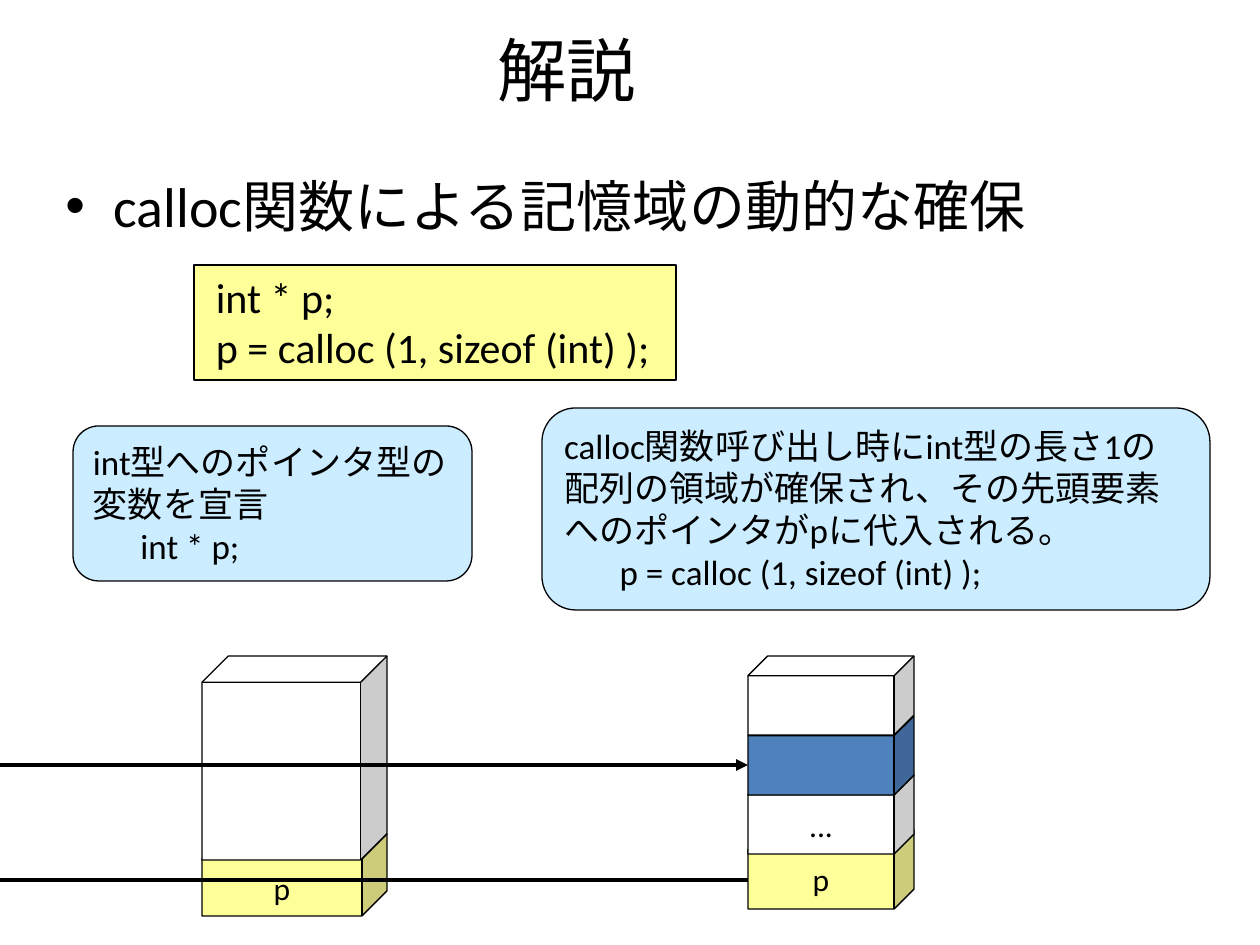
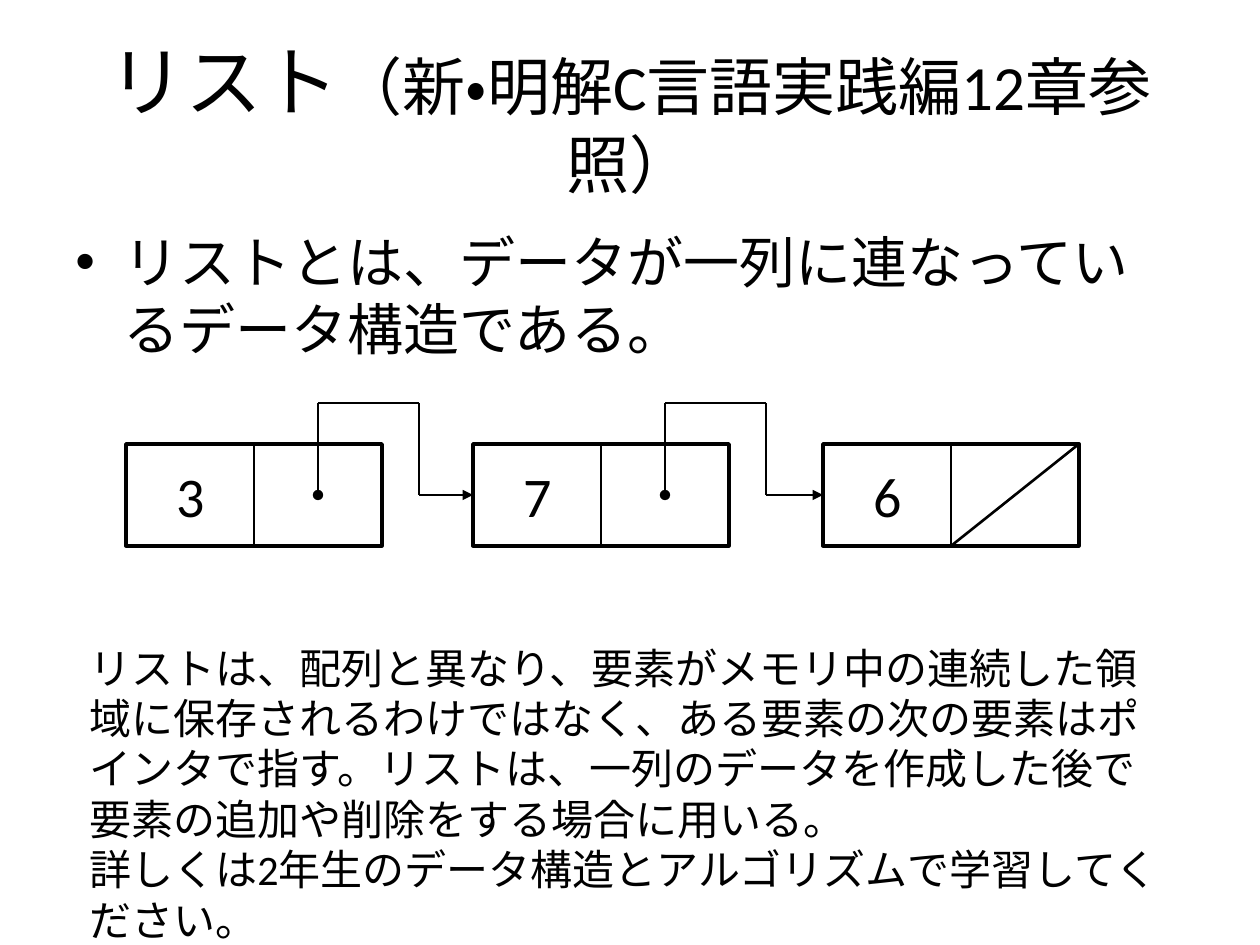
from lxml import etree
from pptx import Presentation
from pptx.dml.color import RGBColor
from pptx.enum.lang import MSO_LANGUAGE_ID
from pptx.enum.shapes import MSO_CONNECTOR, MSO_SHAPE
from pptx.enum.text import MSO_ANCHOR, PP_ALIGN
from pptx.oxml.ns import qn
from pptx.util import Pt

PX = 7257  # EMU per px, 126 px to the inch
FONT = "Calibri"
BLACK = RGBColor(0x00, 0x00, 0x00)
WHITE = RGBColor(0xFF, 0xFF, 0xFF)
YELLOW = RGBColor(0xFF, 0xFF, 0x99)
PALE_BLUE = RGBColor(0xCC, 0xEC, 0xFF)
BLUE = RGBColor(0x4F, 0x81, 0xBD)


def write(shape, paragraphs, size, align=PP_ALIGN.LEFT, anchor=MSO_ANCHOR.TOP, wrap=True):
    """Fill a shape with paragraphs, each a string or a list of (text, size) runs."""
    frame = shape.text_frame
    frame.word_wrap = wrap
    frame.vertical_anchor = anchor
    for i, content in enumerate(paragraphs):
        paragraph = frame.paragraphs[0] if i == 0 else frame.add_paragraph()
        paragraph.alignment = align
        runs = [(content, size)] if isinstance(content, str) else content
        for text, run_size in runs:
            run = paragraph.add_run()
            run.text = text
            style = {"name": FONT, "size": Pt(run_size), "language_id": MSO_LANGUAGE_ID.JAPANESE}
            for key, value in style.items():
                setattr(run.font, key, value)
            run.font.color.rgb = BLACK


def draw_line(slide, x1, y1, x2, y2, width=1.5, **ends):
    """Draw a straight line; ends may give headEnd or tailEnd an arrowhead type."""
    line = slide.shapes.add_connector(MSO_CONNECTOR.STRAIGHT, x1 * PX, y1 * PX, x2 * PX, y2 * PX)
    line.line.color.rgb = BLACK
    line.line.width = Pt(width)
    for end, kind in ends.items():
        etree.SubElement(line.line._ln, qn(f"a:{end}"), type=kind)
    etree.SubElement(line._element.spPr, qn("a:effectLst"))
    return line


prs = Presentation()
prs.slide_width, prs.slide_height = 1260 * PX, 945 * PX

# Titles and leading bullets
headings = [
    ((42, 21, 1050, 95), [("解説", 39.6)],
     (53, 165, 1173, 91), "calloc関数による記憶域の動的な確保"),
    ((63, 38, 1134, 158), [("リスト", 44), ("（新・明解C言語実践編12章参照）", 36)],
     (63, 221, 1134, 158), "リストとは、データが一列に連なっているデータ構造である。"),
]
slides = []
for title_box, title_runs, point_box, point_text in headings:
    slide = prs.slides.add_slide(prs.slide_layouts[6])
    slides.append(slide)
    title = slide.shapes.add_textbox(*(n * PX for n in title_box))
    write(title, [title_runs], 44, PP_ALIGN.CENTER, MSO_ANCHOR.MIDDLE)
    point = slide.shapes.add_textbox(*(n * PX for n in point_box))
    bullet = point.text_frame.paragraphs[0]._p.get_or_add_pPr()
    bullet.set("marL", str(48 * PX))
    bullet.set("indent", str(-48 * PX))
    etree.SubElement(bullet, qn("a:buFont"), typeface="Arial")
    etree.SubElement(bullet, qn("a:buChar"), char="•")
    write(point, [point_text], 32)
calloc_slide, list_slide = slides

# Memory before and after calloc, from the bottom cell up
memory_cells = [
    (202, 834, 185, 82, 0.306, YELLOW, "p"),
    (202, 656, 185, 204, 0.142, WHITE, ""),
    (748, 830, 166, 79, 0.25, YELLOW, "p"),
    (748, 775, 166, 79, 0.25, WHITE, "..."),
    (748, 716, 166, 79, 0.25, BLUE, ""),
    (748, 656, 166, 79, 0.25, WHITE, ""),
]
for x, y, w, h, depth, colour, label in memory_cells:
    cell = calloc_slide.shapes.add_shape(MSO_SHAPE.CUBE, x * PX, y * PX, w * PX, h * PX)
    cell.shadow.inherit = False
    cell.adjustments[0] = depth
    cell.fill.solid()
    cell.fill.fore_color.rgb = colour
    cell.line.color.rgb = BLACK
    cell.line.width = Pt(0.75)
    if label:
        write(cell, [label], 18, PP_ALIGN.CENTER, MSO_ANCHOR.MIDDLE, wrap=False)

# Pointer p to the allocated cell
draw_line(calloc_slide, 0, 880, 748, 880, 2.25)
draw_line(calloc_slide, 0, 765, 748, 765, 2.25, tailEnd="triangle")

# Code and its explanations
explanations = [
    (MSO_SHAPE.RECTANGLE, (194, 265, 482, 115), YELLOW, 24, MSO_ANCHOR.TOP, False,
     [" int * p;", " p = calloc (1, sizeof (int) );"]),
    (MSO_SHAPE.ROUNDED_RECTANGLE, (73, 426, 399, 155), PALE_BLUE, 20, MSO_ANCHOR.MIDDLE, True,
     ["int型へのポインタ型の変数を宣言", "      int * p;"]),
    (MSO_SHAPE.ROUNDED_RECTANGLE, (542, 408, 668, 202), PALE_BLUE, 20, MSO_ANCHOR.MIDDLE, True,
     ["calloc関数呼び出し時にint型の長さ1の配列の領域が確保され、"
      "その先頭要素へのポインタがpに代入される。",
      "       p = calloc (1, sizeof (int) );"]),
]
for outline, box, colour, size, anchor, wrap, lines in explanations:
    note = calloc_slide.shapes.add_shape(outline, *(n * PX for n in box))
    note.shadow.inherit = False
    note.fill.solid()
    note.fill.fore_color.rgb = colour
    note.line.color.rgb = BLACK
    note.line.width = Pt(0.75)
    write(note, lines, size, anchor=anchor, wrap=wrap)

# Linked list: a value and a pointer in each node
NODE_TOP, NODE_W, NODE_H = 444, 256, 102
node_lefts = [126, 473, 823]
link_y, link_top = NODE_TOP + NODE_H // 2, 403
nodes = []
for left, value in zip(node_lefts, "376"):
    node = list_slide.shapes.add_shape(
        MSO_SHAPE.RECTANGLE, left * PX, NODE_TOP * PX, NODE_W * PX, NODE_H * PX)
    node.shadow.inherit = False
    node.fill.background()
    node.line.color.rgb = BLACK
    node.line.width = Pt(2)
    nodes.append(node)
    middle = left + NODE_W // 2
    divider = draw_line(list_slide, middle, NODE_TOP, middle, NODE_TOP + NODE_H)
    divider.begin_connect(node, 0)
    divider.end_connect(node, 2)
    number = list_slide.shapes.add_textbox((left + 38) * PX, (NODE_TOP + 11) * PX, 53 * PX, 80 * PX)
    write(number, [value], 32, PP_ALIGN.CENTER)

for left, next_left, next_node in zip(node_lefts, node_lefts[1:], nodes[1:]):
    dot_x, drop_x = left + 192, left + 293
    draw_line(list_slide, dot_x, link_y, dot_x, link_top, headEnd="oval")
    draw_line(list_slide, dot_x, link_top, drop_x, link_top)
    draw_line(list_slide, drop_x, link_top, drop_x, link_y)
    arrow = draw_line(list_slide, drop_x, link_y, next_left, link_y, tailEnd="triangle")
    arrow.end_connect(next_node, 1)

# The last node points nowhere
last_left = node_lefts[-1]
draw_line(list_slide, last_left + NODE_W, NODE_TOP, last_left + NODE_W // 2, NODE_TOP + NODE_H)

remark = list_slide.shapes.add_textbox(77 * PX, 636 * PX, 1105 * PX, 267 * PX)
write(remark, [
    "リストは、配列と異なり、要素がメモリ中の連続した領域に保存されるわけではなく、"
    "ある要素の次の要素はポインタで指す。リストは、一列のデータを作成した後で"
    "要素の追加や削除をする場合に用いる。",
    "詳しくは2年生のデータ構造とアルゴリズムで学習してください。",
], 24)

prs.save("out.pptx")
